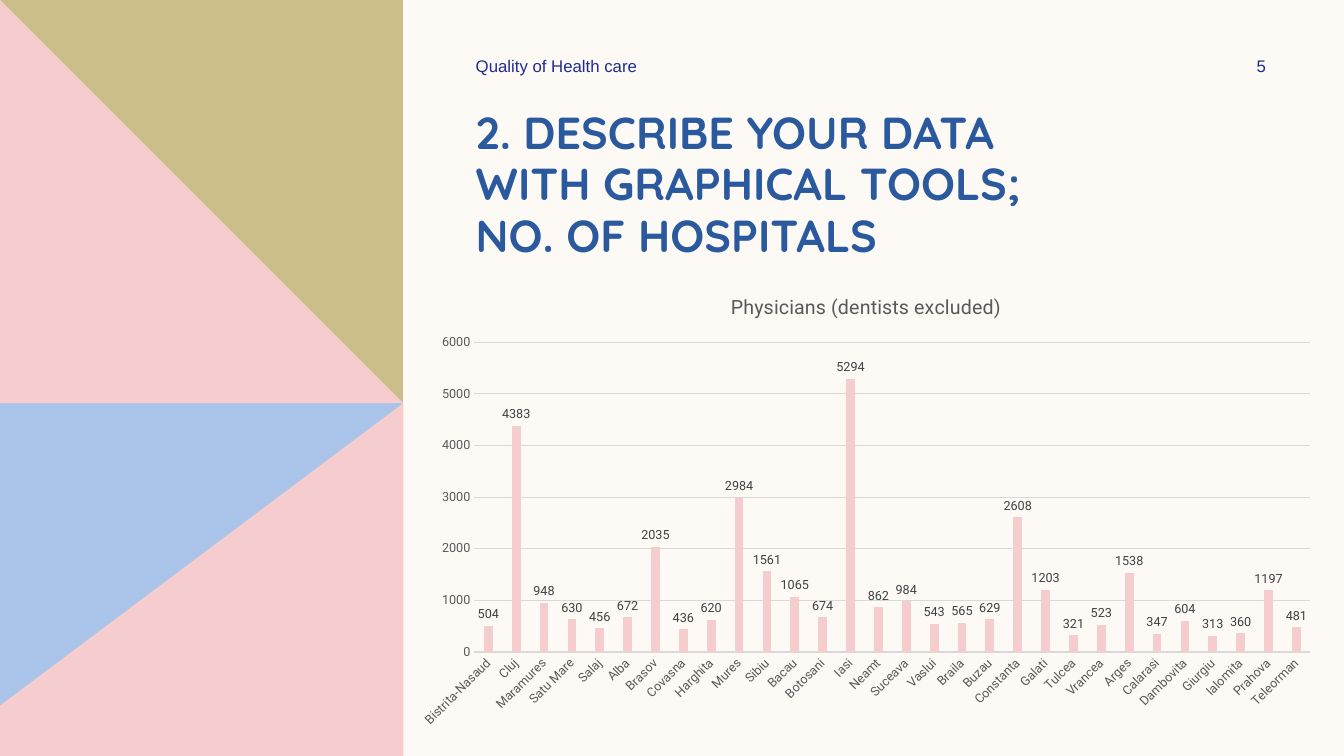
from pptx import Presentation
from pptx.chart.data import CategoryChartData
from pptx.dml.color import RGBColor
from pptx.enum.chart import XL_CHART_TYPE, XL_LABEL_POSITION, XL_TICK_MARK
from pptx.enum.text import MSO_ANCHOR, PP_ALIGN
from pptx.util import Inches, Pt

COLUMNS = XL_CHART_TYPE.COLUMN_CLUSTERED
OUTSIDE_END = XL_LABEL_POSITION.OUTSIDE_END
NO_TICK = XL_TICK_MARK.NONE
TOP, MIDDLE = MSO_ANCHOR.TOP, MSO_ANCHOR.MIDDLE
LEFT, CENTER = PP_ALIGN.LEFT, PP_ALIGN.CENTER

CREAM = RGBColor(0xFD, 0xFA, 0xF6)
BLUE = RGBColor(0xAA, 0xC3, 0xE8)
PINK = RGBColor(0xF5, 0xCD, 0xCE)
OLIVE = RGBColor(0xCC, 0xBE, 0x89)
TITLE_BLUE = RGBColor(0x2B, 0x59, 0x9E)
NAVY = RGBColor(0x1F, 0x2C, 0x8F)
BLACK = RGBColor(0, 0, 0)
AXIS_GRAY = RGBColor(0x59, 0x59, 0x59)
LABEL_GRAY = RGBColor(0x40, 0x40, 0x40)
GRID_GRAY = RGBColor(0xD9, 0xD9, 0xD9)

TITLE_LINES = ["2. DESCRIBE YOUR DATA WITH GRAPHICAL TOOLS;", "NO. OF HOSPITALS"]
TOPIC = "Quality of Health care"
PAGE_NUMBER = "5"
MEASURE = "Physicians (dentists excluded)"
PHYSICIANS = {
    "Bistrita-Nasaud": 504, "Cluj": 4383, "Maramures": 948, "Satu Mare": 630,
    "Salaj": 456, "Alba": 672, "Brasov": 2035, "Covasna": 436,
    "Harghita": 620, "Mures": 2984, "Sibiu": 1561, "Bacau": 1065,
    "Botosani": 674, "Iasi": 5294, "Neamt": 862, "Suceava": 984,
    "Vaslui": 543, "Braila": 565, "Buzau": 629, "Constanta": 2608,
    "Galati": 1203, "Tulcea": 321, "Vrancea": 523, "Arges": 1538,
    "Calarasi": 347, "Dambovita": 604, "Giurgiu": 313, "Ialomita": 360,
    "Prahova": 1197, "Teleorman": 481,
}
PANELS = [
    (BLUE, [(0, 3.75), (3.75, 3.75), (3.75, 7.5), (0, 7.5)]),
    (PINK, [(3.75, 3.75), (3.75, 7.5), (0, 7.5), (0, 7.49)]),
    (OLIVE, [(0, 0), (3.74, 0), (3.74, 3.76), (0, 3.76)]),
    (PINK, [(0, 0), (3.74, 3.76), (0, 3.76)]),
]


def style(font, size, name, color, bold=False):
    font.size, font.name, font.bold = Pt(size), name, bold
    font.color.rgb = color


def add_panel(slide, color, corners):
    outline = slide.shapes.build_freeform(*corners[0], scale=Inches(1))
    outline.add_line_segments(corners[1:], close=True)
    panel = outline.convert_to_shape()
    panel.shadow.inherit = False
    panel.fill.solid()
    panel.fill.fore_color.rgb = color
    panel.line.fill.background()


def add_text(slide, place, lines, anchor, align, spacing, *look):
    frame = slide.shapes.add_textbox(*map(Inches, place)).text_frame
    frame.word_wrap = True
    frame.vertical_anchor = anchor
    paragraph = frame.paragraphs[0]
    paragraph.alignment = align
    paragraph.line_spacing = spacing
    for index, line in enumerate(lines):
        if index:
            paragraph.add_line_break()
        run = paragraph.add_run()
        run.text = line
        style(run.font, *look)


def add_physicians_chart(slide):
    data = CategoryChartData()
    data.categories = list(PHYSICIANS)
    data.add_series(MEASURE, list(PHYSICIANS.values()))
    place = map(Inches, (4, 2.73, 9.18, 4.58))
    chart = slide.shapes.add_chart(COLUMNS, *place, data).chart
    style(chart.font, 10, "Roboto", BLACK)
    chart.has_legend = False

    chart.has_title = True
    chart.chart_title.include_in_layout = False
    heading = chart.chart_title.text_frame.paragraphs[0].add_run()
    heading.text = MEASURE
    style(heading.font, 14, "Roboto", AXIS_GRAY)

    counties, counts = chart.category_axis, chart.value_axis
    for axis in (counties, counts):
        axis.major_tick_mark = axis.minor_tick_mark = NO_TICK
        style(axis.tick_labels.font, 9, "Roboto", AXIS_GRAY)
    counts.minimum_scale, counts.maximum_scale, counts.major_unit = 0, 6000, 1000
    counts.format.line.fill.background()
    counts.has_major_gridlines = True
    for line in (counties.format.line, counts.major_gridlines.format.line):
        line.color.rgb = GRID_GRAY
        line.width = Pt(0.75)
    counties.tick_labels.font._element.getparent().getparent().getparent().bodyPr.set("rot", "-2700000")

    plot = chart.plots[0]
    plot.gap_width, plot.overlap = 219, -27
    plot.vary_by_categories = False
    bars = plot.series[0]
    bars.format.fill.solid()
    bars.format.fill.fore_color.rgb = PINK
    labels = bars.data_labels
    labels.show_value = True
    labels.position = OUTSIDE_END
    style(labels.font, 9, "Roboto", LABEL_GRAY)


def main():
    deck = Presentation()
    deck.slide_width, deck.slide_height = Inches(13.33), Inches(7.5)
    slide = deck.slides.add_slide(deck.slide_layouts[6])
    slide.background.fill.solid()
    slide.background.fill.fore_color.rgb = CREAM
    for color, corners in PANELS:
        add_panel(slide, color, corners)
    add_text(slide, (4.62, 1.02, 6.52, 1.14), TITLE_LINES, TOP, LEFT, 0.96,
             32, "Quicksand", TITLE_BLUE, True)
    add_text(slide, (4.62, 0.5, 3.5, 0.3), [TOPIC], MIDDLE, LEFT, 1, 12, "Arial", NAVY)
    add_text(slide, (11.97, 0.5, 1.08, 0.3), [PAGE_NUMBER], MIDDLE, CENTER, 1,
             12, "Arial", NAVY)
    add_physicians_chart(slide)
    deck.save("out.pptx")


if __name__ == "__main__":
    main()
